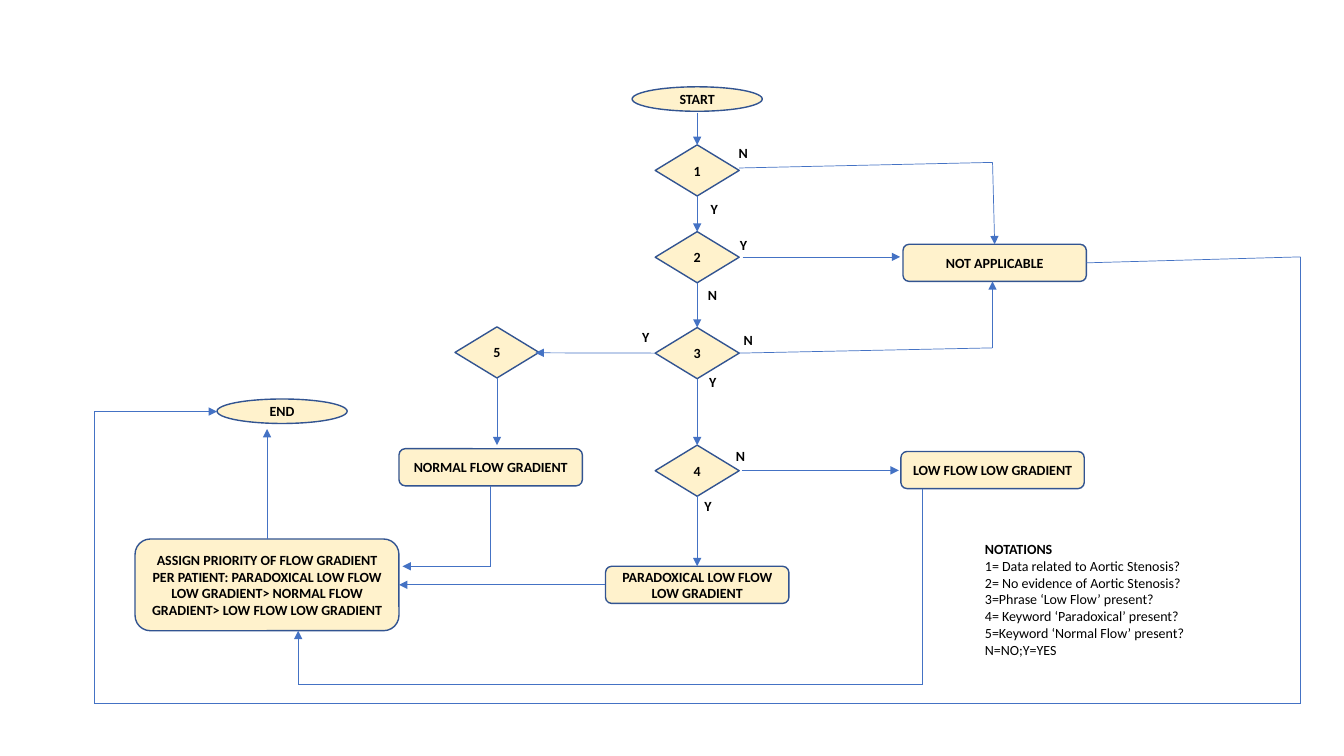
from lxml import etree
from pptx import Presentation
from pptx.dml.color import RGBColor
from pptx.enum import shapes, text
from pptx.oxml import ns
from pptx.util import Pt

CREAM = RGBColor(0xFF, 0xF2, 0xCC)
NAVY = RGBColor(0x32, 0x54, 0x91)
BLUE = RGBColor(0x44, 0x72, 0xC4)
BLACK = RGBColor(0, 0, 0)

KIND = shapes.MSO_SHAPE
TOP, LEFT, BOTTOM, RIGHT = range(4)
MID = 498  # centre of the main column

NOTES = [
    "1= Data related to Aortic Stenosis?",
    "2= No evidence of Aortic Stenosis?",
    "3=Phrase ‘Low Flow’ present?",
    "4= Keyword ‘Paradoxical’ present?",
    "5=Keyword ‘Normal Flow’ present?",
    "N=NO;Y=YES",
]
LABELS = [
    ("N", 520.5, 100), ("Y", 500.5, 139.5), ("Y", 521.5, 165.5),
    ("N", 498.5, 201), ("Y", 451.5, 231), ("N", 524, 233.5),
    ("Y", 499.5, 263), ("N", 518.5, 316), ("Y", 496, 352),
]


def write(para, words, bold=True, align=None):
    para.alignment = align
    run = para.add_run()
    run.text = words
    font = run.font
    font.name, font.size, font.bold = "Calibri", Pt(10), bold
    font.color.rgb = BLACK


def node(slide, kind, words, x, y, w, h):
    shape = slide.shapes.add_shape(kind, Pt(x), Pt(y), Pt(w), Pt(h))
    shape.shadow.inherit = False
    shape.fill.solid()
    shape.fill.fore_color.rgb = CREAM
    shape.line.color.rgb = NAVY
    shape.line.width = Pt(1)
    frame = shape.text_frame
    frame.word_wrap = True
    frame.vertical_anchor = text.MSO_ANCHOR.MIDDLE
    write(frame.paragraphs[0], words, align=text.PP_ALIGN.CENTER)
    return shape


def oval(slide, words, x, y):
    return node(slide, KIND.OVAL, words, x, y, 93, 17.5)


def test(slide, words, x, y):
    """Decision diamond, centred on x."""
    return node(slide, KIND.FLOWCHART_DECISION, words, x - 30, y, 60, 36.5)


def box(slide, words, x, y, w=131, h=26.5):
    return node(slide, KIND.ROUNDED_RECTANGLE, words, x, y, w, h)


def note(slide, lines, x, y, w, h):
    """Text box whose first line is bold."""
    area = slide.shapes.add_textbox(Pt(x), Pt(y), Pt(w), Pt(h))
    frame = area.text_frame
    frame.word_wrap = True
    for i, line in enumerate(lines):
        para = frame.add_paragraph() if i else frame.paragraphs[0]
        write(para, line, bold=i == 0)


def route(slide, *stops):
    """Straight segments through stops: (x, y) points or (shape, side) joins."""
    last = len(stops) - 2
    for i, (start, end) in enumerate(zip(stops, stops[1:])):
        glued = [not isinstance(stop[0], (int, float)) for stop in (start, end)]
        ends = [(0, 0) if g else stop for g, stop in zip(glued, (start, end))]
        line = slide.shapes.add_connector(
            shapes.MSO_CONNECTOR.STRAIGHT, *[Pt(n) for spot in ends for n in spot])
        if glued[0]:
            line.begin_connect(*start)
        if glued[1]:
            line.end_connect(*end)
        line.line.color.rgb = BLUE
        line.line.width = Pt(0.5)
        if i == last:
            tail = etree.SubElement(line.line._get_or_add_ln(), ns.qn("a:tailEnd"))
            tail.set("type", "triangle")
        etree.SubElement(line._element.spPr, ns.qn("a:effectLst"))


def main():
    deck = Presentation()
    deck.slide_width, deck.slide_height = Pt(960), Pt(540)
    slide = deck.slides.add_slide(deck.slide_layouts[6])

    # Start, end and decisions
    oval(slide, "START", 451.5, 62)
    oval(slide, "END", 155, 285)
    one, two, three, four = [
        test(slide, str(i), MID, y)
        for i, y in enumerate((103.5, 165.5, 234, 318), 1)]
    five = test(slide, "5", 355, 233.5)

    # Outcomes
    none = box(slide, "NOT APPLICABLE", 645, 174.5)
    norm = box(slide, "NORMAL FLOW GRADIENT", 285, 320.5)
    box(slide, "LOW FLOW LOW GRADIENT", 643.5, 322.5)
    para = box(slide, "PARADOXICAL LOW FLOW LOW GRADIENT", 432.5, 404.5)
    rank = box(slide, "ASSIGN PRIORITY OF FLOW GRADIENT PER PATIENT: "
               "PARADOXICAL LOW FLOW LOW GRADIENT> NORMAL FLOW GRADIENT> "
               "LOW FLOW LOW GRADIENT", 96.5, 385, 188.5, 65.5)

    # Main column
    route(slide, (MID, 80.5), (one, TOP))
    for high, low in ((one, two), (two, three), (three, four), (four, para)):
        route(slide, (high, BOTTOM), (low, TOP))

    # Side branches
    route(slide, (528, 120), (709, 116), (none, TOP))
    route(slide, (530.5, 183.5), (643, 183.5))
    route(slide, (three, RIGHT), (709, 248.5), (709, 201))
    route(slide, (three, LEFT), (382.5, 252))
    route(slide, (five, BOTTOM), (355, 318))
    route(slide, (530, 336), (642, 336))

    # Paths to the priority box and to the end
    route(slide, (norm, BOTTOM), (350.5, 404.5), (287.5, 404.5))
    route(slide, (para, LEFT), (rank, RIGHT))
    route(slide, (659, 349), (659, 489), (213, 489), (213, 450.5))
    route(slide, (rank, TOP), (190.75, 306.5))
    route(slide, (none, RIGHT), (929, 183.5), (929, 502.5),
          (67.5, 502.5), (67.5, 294), (155, 294))

    # Branch labels and key
    for word, x, y in LABELS:
        note(slide, [word], x, y, 26, 19.5)
    note(slide, ["NOTATIONS"] + NOTES, 696.5, 382.5, 232, 92)

    deck.save("out.pptx")


if __name__ == "__main__":
    main()
